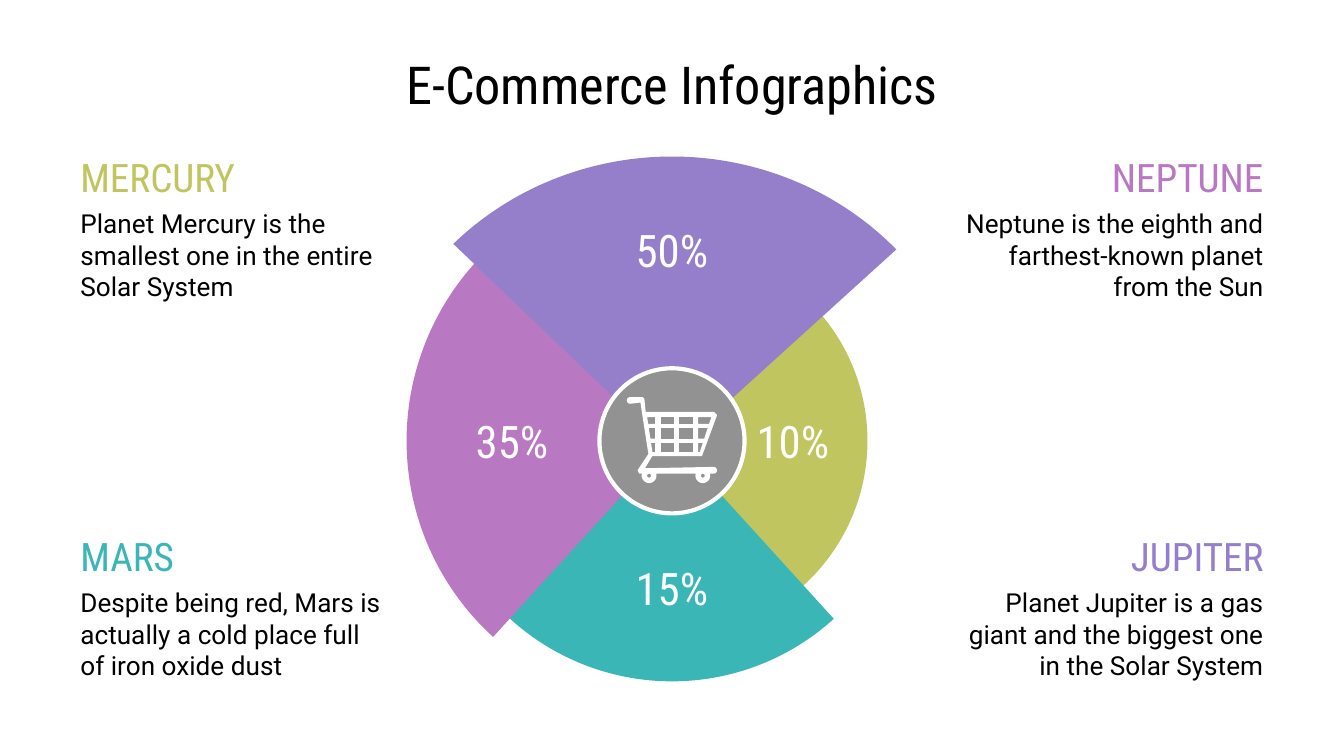
from math import cos, radians, sin

from pptx import Presentation
from pptx.dml.color import RGBColor
from pptx.enum.shapes import MSO_SHAPE
from pptx.enum.text import MSO_ANCHOR, MSO_AUTO_SIZE, PP_ALIGN
from pptx.util import Inches, Pt

BLACK = RGBColor(0x00, 0x00, 0x00)
WHITE = RGBColor(0xFF, 0xFF, 0xFF)
GREY = RGBColor(0x92, 0x92, 0x92)
OLIVE = RGBColor(0xC0, 0xC5, 0x5F)
TEAL = RGBColor(0x39, 0xB6, 0xB5)
ORCHID = RGBColor(0xB8, 0x78, 0xC2)
PURPLE = RGBColor(0x95, 0x7F, 0xCA)
HEAD_FONT = "Roboto Condensed"
BODY_FONT = "Roboto"
PAGE_WIDTH = Inches(10)
PAGE_HEIGHT = PAGE_WIDTH * 9 // 16
PIE_UNITS_PER_DEGREE = 0.6

WEDGES = [
    ("10%", OLIVE, 2.91, 2.91, 0, 316.7, 48.36, (0.9, 0)),
    ("15%", TEAL, 3.58, 3.58, 0, 47.73, 133.96, (0, 1.1)),
    ("35%", ORCHID, 3.95, 3.95, 0, 132.38, 225, (-1.19, 0)),
    ("50%", PURPLE, 4.59, 4.41, 0.09, 223.7, 317.8, (0, -1.42)),
]
PLANETS = [
    (0.5, 3.98, "MARS", TEAL, PP_ALIGN.LEFT,
     "Despite being red, Mars is actually a cold place full of iron oxide dust"),
    (0.5, 1.16, "MERCURY", OLIVE, PP_ALIGN.LEFT,
     "Planet Mercury is the smallest one in the entire Solar System"),
    (7.06, 3.98, "JUPITER", PURPLE, PP_ALIGN.RIGHT,
     "Planet Jupiter is a gas giant and the biggest one in the Solar System"),
    (7.06, 1.16, "NEPTUNE", ORCHID, PP_ALIGN.RIGHT,
     "Neptune is the eighth and farthest-known planet from the Sun"),
]


def place(shape, left, top, width, height):
    shape.left, shape.top = Inches(left), Inches(top)
    shape.width, shape.height = Inches(width), Inches(height)


def write(shape, text, size, font, colour, align):
    frame = shape.text_frame
    frame.text = text
    frame.word_wrap = True
    frame.auto_size = MSO_AUTO_SIZE.NONE
    frame.vertical_anchor = MSO_ANCHOR.MIDDLE
    frame.margin_left = frame.margin_right = Inches(0.1)
    frame.margin_top = frame.margin_bottom = Inches(0.1)
    para = frame.paragraphs[0]
    para.alignment = align
    para.font.size = Pt(size)
    para.font.name = font
    para.font.color.rgb = colour


def add_text(page, box, *style):
    shape = page.shapes.add_textbox(*map(Inches, box))
    write(shape, *style)


def paint(shape, fill, line_width=None):
    shape.shadow.inherit = False
    shape.fill.solid()
    shape.fill.fore_color.rgb = fill
    if line_width:
        shape.line.color.rgb = WHITE
        shape.line.width = Pt(line_width)
    else:
        shape.line.fill.background()


def add_centred(page, kind, x, y, width, height):
    box = (x - width / 2, y - height / 2, width, height)
    return page.shapes.add_shape(kind, *map(Inches, box))


def add_wedges(page, x, y):
    for label, colour, width, height, drop, start, end, (dx, dy) in WEDGES:
        wedge = add_centred(page, MSO_SHAPE.PIE, x, y + drop, width, height)
        wedge.adjustments[0] = start * PIE_UNITS_PER_DEGREE
        wedge.adjustments[1] = end * PIE_UNITS_PER_DEGREE
        paint(wedge, colour)
        add_text(page, (x + dx - 0.6, y + dy - 0.36, 1.2, 0.71),
                 label, 24, HEAD_FONT, WHITE, PP_ALIGN.CENTER)


def arc(x, y, radius, start, end, steps=16):
    angles = [radians(start + (end - start) * i / steps) for i in range(steps + 1)]
    return [(x + radius * cos(a), y + radius * sin(a)) for a in angles]


def cart_contours():
    wheels = [(0.16, 0.58), (0.56, 0.58)]
    outline = arc(0.02, 0.02, 0.02, 270, 90)
    outline += [(0.10, 0.03), (0.16, 0.42), (0.08, 0.54), (0.09, 0.56)]
    for x, y in wheels:
        outline += arc(x, y, 0.05, 205, -25)
    outline += arc(0.64, 0.54, 0.02, 90, -90)
    outline += [(0.12, 0.53), (0.18, 0.43), (0.55, 0.43), (0.66, 0.13),
                (0.64, 0.11), (0.13, 0.11), (0.12, 0.01), (0.11, 0)]
    contours = [outline] + [arc(x, y, 0.02, 0, 360) for x, y in wheels]

    def column_edges(y):
        left = 0.14 + (y - 0.14) * 0.15
        right = 0.63 - (y - 0.14) * 0.33
        return [(left, 0.21), (0.24, 0.35), (0.38, 0.49), (0.52, right)]

    for top, bottom in [(0.14, 0.20), (0.22, 0.31), (0.33, 0.41)]:
        for upper, lower in zip(column_edges(top), column_edges(bottom)):
            contours.append([(upper[0], top), (upper[1], top),
                             (lower[1], bottom), (lower[0], bottom)])
    return contours


def add_cart(page, left, top):
    contours = [[(Inches(x), Inches(y)) for x, y in contour]
                for contour in cart_contours()]
    builder = page.shapes.build_freeform(*contours[0][0])
    builder.add_line_segments(contours[0][1:], close=True)
    for contour in contours[1:]:
        builder.move_to(*contour[0])
        builder.add_line_segments(contour[1:], close=True)
    paint(builder.convert_to_shape(Inches(left), Inches(top)), WHITE, 0.75)


def add_hub(page, x, y):
    hub = add_centred(page, MSO_SHAPE.OVAL, x, y, 1.08, 1.08)
    paint(hub, GREY, 2.25)
    add_cart(page, x - 0.33, y - 0.32)


def add_planet(page, left, top, name, colour, align, description):
    width, name_width = 2.44, 1.4
    shift = width - name_width if align == PP_ALIGN.RIGHT else 0
    add_text(page, (left, top + 0.39, width, 0.69),
             description, 14, BODY_FONT, BLACK, align)
    add_text(page, (left + shift, top, name_width, 0.31),
             name, 21, HEAD_FONT, colour, align)


def add_title(page, text):
    title = page.shapes.title
    place(title, 2.75, 0.45, 4.5, 0.35)
    write(title, text, 28, HEAD_FONT, BLACK, PP_ALIGN.CENTER)


def main():
    deck = Presentation()
    deck.slide_width, deck.slide_height = PAGE_WIDTH, PAGE_HEIGHT
    page = deck.slides.add_slide(deck.slide_layouts[5])
    add_title(page, "E-Commerce Infographics")
    add_wedges(page, 5, 3.28)
    for planet in PLANETS:
        add_planet(page, *planet)
    add_hub(page, 5, 3.28)
    deck.save("out.pptx")


if __name__ == "__main__":
    main()
